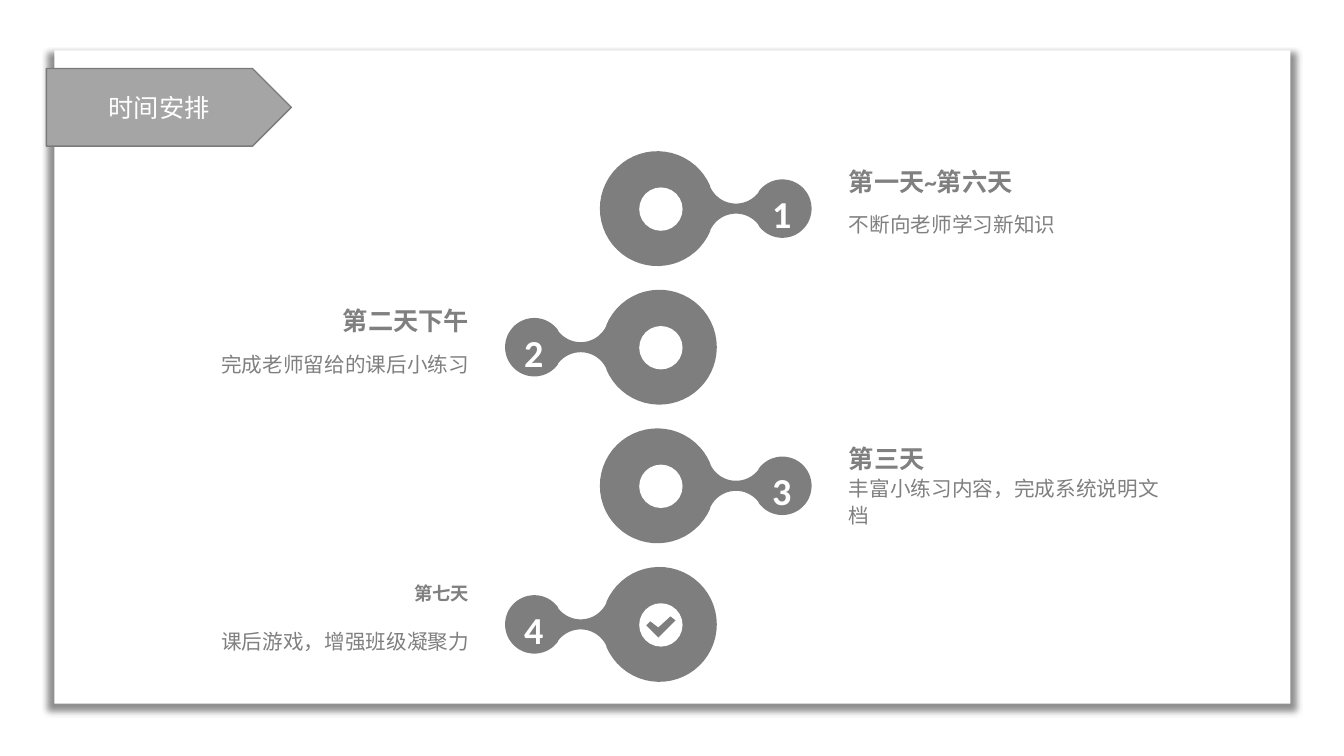
"""Build the schedule slide: four steps alternating right and left."""
from math import atan2, cos, pi, sin

from lxml.etree import SubElement
from pptx import Presentation
from pptx.dml.color import RGBColor
from pptx.enum.shapes import MSO_SHAPE as SHAPE
from pptx.enum.text import MSO_ANCHOR as ANCHOR, PP_ALIGN as ALIGN
from pptx.oxml.ns import qn
from pptx.util import Inches, Pt

COLORS = {"white": "FFFFFF", "bubble": "7E7E7E", "text": "808080",
          "banner": "A5A5A5", "banner_line": "7A7A7A", "shadow": "000000"}
FONT = "Calibri"
BIG, SMALL, NECK = 0.57, 0.29, 0.28
NECK_X, NECK_Y, SMALL_X = 0.78, 0.33, 1.24
STEPS = [("第一天~第六天", 18, "不断向老师学习新知识"),
         ("第二天下午", 18, "完成老师留给的课后小练习"),
         ("第三天", 18, "丰富小练习内容，完成系统说明文档"),
         ("第七天", 13.1, "课后游戏，增强班级凝聚力")]
CHECK = [(-0.14, 0.01), (-0.1, -0.03), (-0.02, 0.03),
         (0.1, -0.08), (0.15, -0.04), (-0.02, 0.13)]


def paint(shape, color):
    shape.shadow.inherit = False
    shape.fill.solid()
    shape.fill.fore_color.rgb = RGBColor.from_string(COLORS[color])
    shape.line.fill.background()


def write(box, text, size, color, align, bold=False, anchor=ANCHOR.TOP, wrap=False):
    frame = box.text_frame
    frame.word_wrap = wrap
    frame.vertical_anchor = anchor
    para = frame.paragraphs[0]
    para.text = text
    para.alignment = align
    para.font.name = FONT
    para.font.size = Pt(size)
    para.font.bold = bold
    para.font.color.rgb = RGBColor.from_string(COLORS[color])
    return para


deck = Presentation()
deck.slide_width, deck.slide_height = Inches(13.33), Inches(7.5)
page = deck.slides.add_slide(deck.slide_layouts[6])

card = page.shapes.add_shape(SHAPE.RECTANGLE, Inches(0.54), Inches(0.5), Inches(12.26), Inches(6.48))
paint(card, "white")
effects = card._element.spPr.find(qn("a:effectLst"))
shadow = SubElement(effects, qn("a:outerShdw"), blurRad=str(Pt(4)), dist=str(Pt(4)),
                    dir="5400000", sx="101000", sy="101000", algn="ctr", rotWithShape="0")
shade = SubElement(shadow, qn("a:srgbClr"), val=COLORS["shadow"])
SubElement(shade, qn("a:alpha"), val="43000")

big_angle = atan2(NECK_Y, NECK_X)
small_angle = atan2(NECK_Y, SMALL_X - NECK_X)
ARCS = [(0, 0, BIG, big_angle, 2 * pi - big_angle),
        (NECK_X, -NECK_Y, NECK, pi - big_angle, small_angle),
        (SMALL_X, 0, SMALL, pi + small_angle, 3 * pi - small_angle),
        (NECK_X, NECK_Y, NECK, -small_angle, big_angle - pi)]
outline = [(x + radius * cos(start + (end - start) * step / 48),
            y + radius * sin(start + (end - start) * step / 48))
           for x, y, radius, start, end in ARCS for step in range(49)]

for index, (title, title_size, detail) in enumerate(STEPS):
    top = 1.5 + index * 5.5 / 4
    middle = top + BIG
    on_right = index % 2 == 0
    side, center = (1, 6.52) if on_right else (-1, 6.54)
    align = ALIGN.LEFT if on_right else ALIGN.RIGHT
    group = page.shapes.add_group_shape().shapes

    points = [(Inches(center + side * x), Inches(middle + y)) for x, y in outline]
    builder = group.build_freeform(*points[0])
    builder.add_line_segments(points[1:])
    paint(builder.convert_to_shape(), "bubble")

    detail_left, detail_width = (8.32, 3.31) if on_right else (1.8, 2.95)
    title_left = 8.32 if on_right else 2.46
    detail_box = group.add_textbox(Inches(detail_left), Inches(top + 0.44), Inches(detail_width), Inches(0.55))
    title_box = group.add_textbox(Inches(title_left), Inches(top + 0.15), Inches(2.29), Inches(0.23))
    for box in (detail_box, title_box):
        box.text_frame.margin_top = box.text_frame.margin_bottom = 0
    para = write(detail_box, detail, 14.7, "text", align, anchor=ANCHOR.MIDDLE, wrap=True)
    para.line_spacing = 1.1 if on_right else 1.2
    write(title_box, title, title_size, "text", align, bold=True)

    icon = group.add_shape(SHAPE.OVAL, Inches(6.34), Inches(middle - 0.21), Inches(0.43), Inches(0.43))
    paint(icon, "white")
    number_box = group.add_textbox(Inches(center + side * SMALL_X - 0.2), Inches(top + 0.34),
                                   Inches(0.39), Inches(0.5))
    write(number_box, str(index + 1), 27.2, "white", ALIGN.CENTER, bold=True)

    if index == len(STEPS) - 1:
        tick = [(Inches(6.55 + x), Inches(middle + y)) for x, y in CHECK]
        builder = group.build_freeform(*tick[0])
        builder.add_line_segments(tick[1:])
        paint(builder.convert_to_shape(), "bubble")

banner = page.shapes.add_shape(SHAPE.PENTAGON, Inches(0.46), Inches(0.68), Inches(2.43), Inches(0.77))
paint(banner, "banner")
banner.line.color.rgb = RGBColor.from_string(COLORS["banner_line"])
banner.line.width = Pt(1)
write(banner, "时间安排", 18, "white", ALIGN.CENTER, anchor=ANCHOR.MIDDLE, wrap=True)

deck.save("out.pptx")
